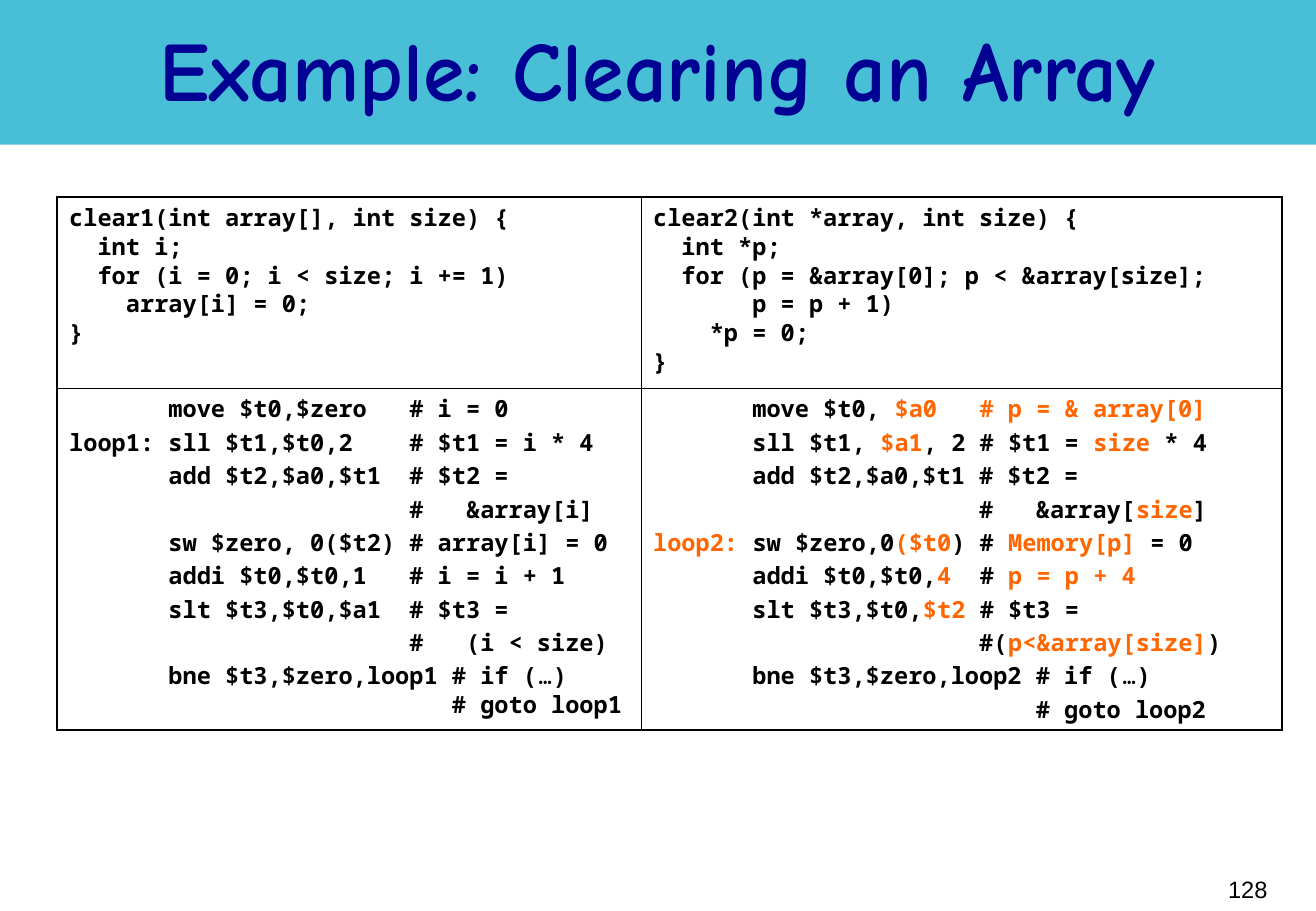
import copy

import lxml.etree
import pptx
import pptx.dml.color
import pptx.enum.shapes
import pptx.enum.text
import pptx.oxml.ns
import pptx.util

Inches = pptx.util.Inches
Pt = pptx.util.Pt
ALIGN = pptx.enum.text.PP_ALIGN
MIDDLE = pptx.enum.text.MSO_ANCHOR.MIDDLE

BLACK = "000000"
ORANGE = "FF6600"
CODE_FONT = "Noto Sans Mono"
ELLIPSIS_FONT = "Quicksand"
HIGHLIGHT = "|"
LINE_BREAK = "\v"

CLEAR1_C = """clear1(int array[], int size) {
  int i;
  for (i = 0; i < size; i += 1)
    array[i] = 0;
}"""

CLEAR2_C = """clear2(int *array, int size) {
  int *p;
  for (p = &array[0]; p < &array[size];
       p = p + 1)
    *p = 0;
}"""

CLEAR1_ASSEMBLY = """       move $t0,$zero   # i = 0
loop1: sll $t1,$t0,2    # $t1 = i * 4
       add $t2,$a0,$t1  # $t2 =
                        #   &array[i]
       sw $zero, 0($t2) # array[i] = 0
       addi $t0,$t0,1   # i = i + 1
       slt $t3,$t0,$a1  # $t3 =
                        #   (i < size)
       bne $t3,$zero,loop1 # if (…)\v                           # goto loop1"""

CLEAR2_ASSEMBLY = """       move $t0, |$a0   # p = & array[0]|
       sll $t1, |$a1|, 2 # $t1 =| size| * 4
       add $t2,$a0,$t1 # $t2 =
                       #   &array[|size|]
|loop2:| sw $zero,0|($t0|) # |Memory[p]| = 0
       addi $t0,$t0,|4 | # |p = p + 4|
       slt $t3,$t0,|$t2| # $t3 =
                       #(|p<&array[size]|)
       bne $t3,$zero,loop2 # if (…)
                           # goto loop2"""


def color(hex_string):
    """Turn a hex string into a colour."""
    return pptx.dml.color.RGBColor.from_string(hex_string)


def add_run(paragraph, text, size, font, hex_string, bold):
    """Append one formatted run to a paragraph."""
    run = paragraph.add_run()
    run.text = text
    run.font.size = Pt(size)
    run.font.name = font
    run.font.bold = bold
    run.font.color.rgb = color(hex_string)
    return run


def write(frame, text, size=14, font=CODE_FONT, ink=BLACK, bold=True,
          align=ALIGN.LEFT, spacing=1.0, before=0):
    """Fill a text frame line by line, with highlighted pieces between bars."""
    for number, line in enumerate(text.split("\n")):
        paragraph = frame.paragraphs[0] if number == 0 else frame.add_paragraph()
        paragraph.alignment = align
        paragraph.line_spacing = spacing
        paragraph.space_before = Pt(before if number else 0)
        for index, piece in enumerate(line.split(HIGHLIGHT)):
            piece_ink = ORANGE if index % 2 else ink
            spaced = piece.replace("…", "\0…\0").replace(LINE_BREAK, "\0\v\0")
            for part in filter(None, spaced.split("\0")):
                if part == LINE_BREAK:
                    paragraph.add_line_break()
                    paragraph._p[-1].append(copy.deepcopy(run._r.rPr))
                else:
                    face = ELLIPSIS_FONT if part == "…" else font
                    run = add_run(paragraph, part, size, face, piece_ink, bold)


def add_label(slide, box, text, wrap=True, **text_format):
    """Place a vertically centred text box."""
    frame = slide.shapes.add_textbox(*map(Inches, box)).text_frame
    frame.word_wrap = wrap
    frame.vertical_anchor = MIDDLE
    write(frame, text, **text_format)


def add_title_band(slide, box, title):
    """Draw the coloured band with the slide title."""
    left, top, width, height = box
    band = slide.shapes.add_shape(
        pptx.enum.shapes.MSO_SHAPE.RECTANGLE, *map(Inches, box))
    band.shadow.inherit = False
    band.fill.solid()
    band.fill.fore_color.rgb = color("49BFD7")
    band.line.fill.background()
    add_label(slide, (left, top + 0.13, width, height - 0.2), title, size=50,
              font="Comic Neue", ink="000092", align=ALIGN.CENTER, spacing=0.85)


def set_borders(cell, widths):
    """Give a cell black borders, with widths in points by side."""
    properties = cell._tc.get_or_add_tcPr()
    for position, (side, points) in enumerate(widths.items()):
        border = lxml.etree.Element(
            pptx.oxml.ns.qn("a:ln" + side), w=str(int(Pt(points))))
        fill = lxml.etree.SubElement(border, pptx.oxml.ns.qn("a:solidFill"))
        lxml.etree.SubElement(fill, pptx.oxml.ns.qn("a:srgbClr"), val=BLACK)
        properties.insert(position, border)


def add_code_table(slide, box, rows):
    """Set C code above its assembly, one version in each column."""
    width, height = box[2:]
    first_width, first_height = 4.81, 1.58
    table = slide.shapes.add_table(2, 2, *map(Inches, box)).table
    table.first_row = False
    table.horz_banding = False
    table.columns[0].width = Inches(first_width)
    table.columns[1].width = Inches(width - first_width)
    table.rows[0].height = Inches(first_height)
    table.rows[1].height = Inches(height - first_height)
    outer, inner = 1.08, 0.45
    for row, codes in enumerate(rows):
        for column, code in enumerate(codes):
            cell = table.cell(row, column)
            cell.fill.background()
            set_borders(cell, {
                "L": inner if column else outer,
                "R": outer if column else inner,
                "T": inner if row else outer,
                "B": outer if row else inner,
            })
            write(cell.text_frame, code, spacing=0.9, before=2.6 * row)


def add_page_number(slide, box, number):
    """Place the page number at the right of its box."""
    add_label(slide, box, number, wrap=False, font="Arial", bold=False,
              align=ALIGN.RIGHT)


def main():
    """Build the slide and save it."""
    presentation = pptx.Presentation()
    presentation.slide_width = Inches(10.84)
    presentation.slide_height = Inches(7.5)
    slide = presentation.slides.add_slide(presentation.slide_layouts[6])
    add_title_band(slide, (0, 0, 10.84, 1.19), "Example: Clearing an Array")
    add_code_table(slide, (0.47, 1.62, 10.09, 4.39),
                   ((CLEAR1_C, CLEAR2_C), (CLEAR1_ASSEMBLY, CLEAR2_ASSEMBLY)))
    add_page_number(slide, (8.28, 7.07, 2.26, 0.5), "128")
    presentation.save("out.pptx")


if __name__ == "__main__":
    main()
